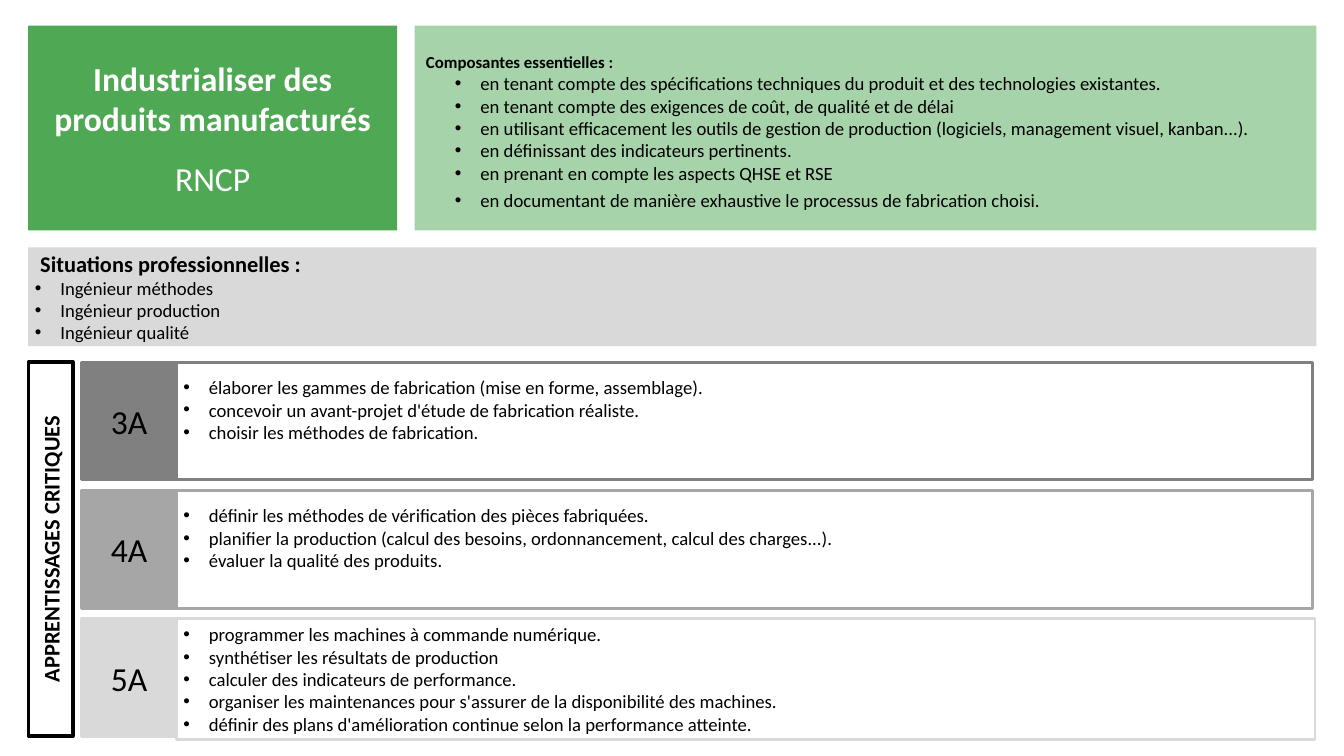
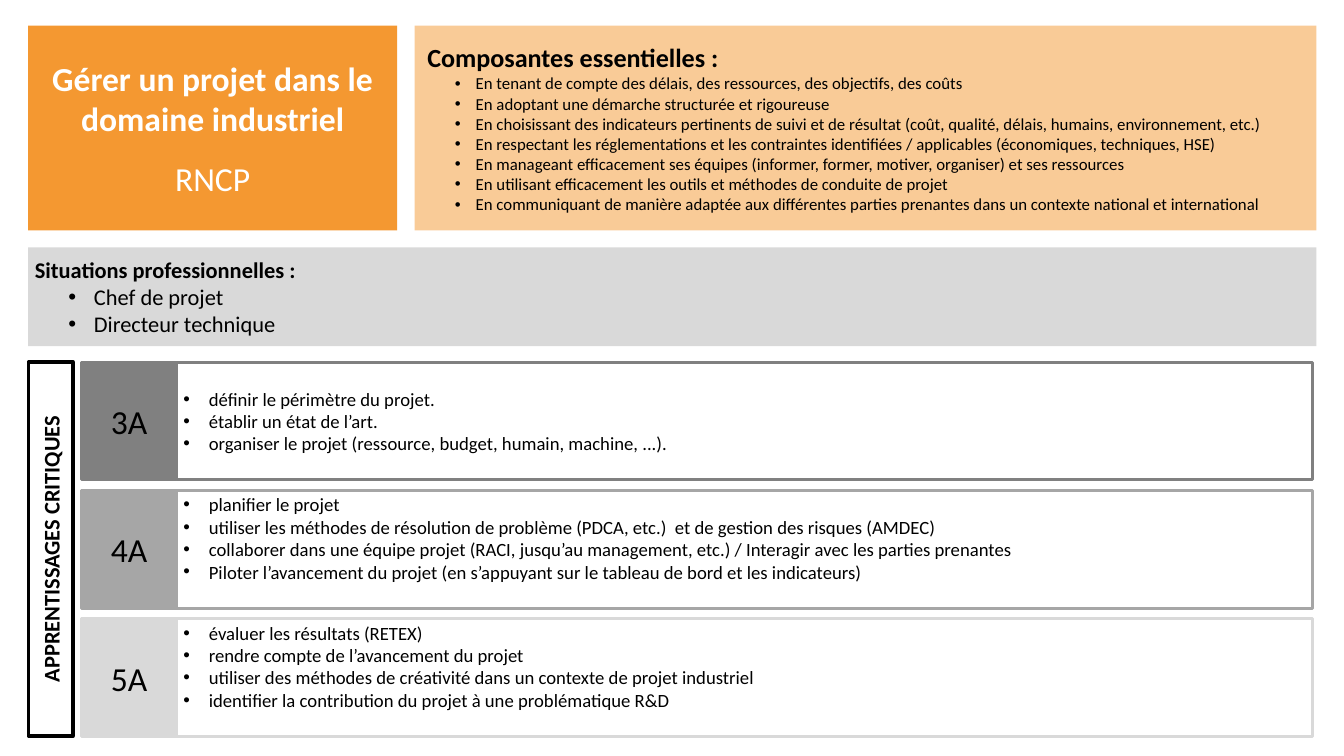
from lxml.etree import SubElement
from pptx import Presentation
from pptx.dml.color import RGBColor
from pptx.enum.shapes import MSO_SHAPE as SHAPE
from pptx.enum.text import MSO_ANCHOR as ANCHOR, PP_ALIGN as ALIGN
from pptx.oxml.ns import qn
from pptx.util import Inches, Pt

BLACK = RGBColor(0x00, 0x00, 0x00)
WHITE = RGBColor(0xFF, 0xFF, 0xFF)
GREEN = RGBColor(0x4F, 0xA9, 0x54)
ORANGE = RGBColor(0xF4, 0x98, 0x31)
DARK_GREY = RGBColor(0x80, 0x80, 0x80)
MID_GREY = RGBColor(0xA6, 0xA6, 0xA6)
LIGHT_GREY = RGBColor(0xD9, 0xD9, 0xD9)

FONT = "Calibri"
LEFT, TOP, HEAD_H = 0.42, 0.38, 3.05
YEAR_X, YEAR_W, ROW_X = 1.21, 1.42, 2.63
ROW_Y, ROW_H, ROW_STEP = 5.39, 1.75, 1.91
YEARS = [("3A", DARK_GREY), ("4A", MID_GREY), ("5A", LIGHT_GREY)]
BLANK_LINE = 0.34


def add_box(s, x, y, w, h, fill, line=None, line_w=3, top=0.05, bottom=0.05):
    sp = s.shapes.add_shape(SHAPE.RECTANGLE, Inches(x), Inches(y), Inches(w), Inches(h))
    sp.shadow.inherit = False
    sp.fill.solid()
    sp.fill.fore_color.rgb = fill
    if line is None:
        sp.line.fill.background()
    else:
        sp.line.color.rgb = line
        sp.line.width = Pt(line_w)
    tf = sp.text_frame
    tf.word_wrap = True
    tf.vertical_anchor = ANCHOR.MIDDLE
    tf.margin_top, tf.margin_bottom = Inches(top), Inches(bottom)
    return sp


def add_text(sp, text, size=20, bold=False, color=BLACK, align=ALIGN.LEFT,
             indent=0, hang=0, level=0, spacing=None, before=None):
    tf = sp.text_frame
    p = tf.paragraphs[0] if not tf.text else tf.add_paragraph()
    p.alignment = align
    p.level = level
    if spacing:
        p.line_spacing = spacing
    if before:
        p.space_before = Pt(before)
    pPr = p._p.get_or_add_pPr()
    pPr.set("marL", str(Inches(indent)))
    pPr.set("indent", str(-Inches(hang)))
    if hang:
        SubElement(pPr, qn("a:buFont"), typeface="Arial")
        SubElement(pPr, qn("a:buChar"), char="•")
    else:
        SubElement(pPr, qn("a:buNone"))
    r = p.add_run()
    r.text = text
    r.font.name = FONT
    r.font.size = Pt(size)
    r.font.bold = bold
    r.font.color.rgb = color


SLIDES = [
    {
        "title": "Industrialiser des produits manufacturés",
        "color": GREEN,
        "heading": {"size": 18, "indent": 0.07},
        "heading_top": 0.15,
        "component": {"size": 20, "indent": 0.88, "hang": 0.38, "level": 1},
        "last_before": 4.8,
        "components": [
            "en tenant compte des spécifications techniques du produit et des technologies existantes.",
            "en tenant compte des exigences de coût, de qualité et de délai",
            "en utilisant efficacement les outils de gestion de production (logiciels, management visuel, kanban...).",
            "en définissant des indicateurs pertinents.",
            "en prenant en compte les aspects QHSE et RSE",
            "en documentant de manière exhaustive le processus de fabrication choisi.",
        ],
        "situation_indent": 0.08,
        "situation": {"size": 20, "indent": 0.38, "hang": 0.38},
        "situations": ["Ingénieur méthodes", "Ingénieur production", "Ingénieur qualité"],
        "rows": [
            (16.9, ROW_H, BLANK_LINE, [
                "élaborer les gammes de fabrication (mise en forme, assemblage).",
                "concevoir un avant-projet d'étude de fabrication réaliste.",
                "choisir les méthodes de fabrication.",
            ]),
            (16.9, ROW_H, BLANK_LINE, [
                "définir les méthodes de vérification des pièces fabriquées.",
                "planifier la production (calcul des besoins, ordonnancement, calcul des charges...).",
                "évaluer la qualité des produits.",
            ]),
            (16.94, 1.79, 0, [
                "programmer les machines à commande numérique.",
                "synthétiser les résultats de production",
                "calculer des indicateurs de performance.",
                "organiser les maintenances pour s'assurer de la disponibilité des machines.",
                "définir des plans d'amélioration continue selon la performance atteinte.",
            ]),
        ],
    },
    {
        "title": "Gérer un projet dans le domaine industriel",
        "color": ORANGE,
        "heading": {"size": 28, "indent": 0.09},
        "heading_top": 0.05,
        "component": {"size": 18, "indent": 0.81, "hang": 0.31, "level": 1},
        "last_before": None,
        "components": [
            "En tenant de compte des délais, des ressources, des objectifs, des coûts",
            "En adoptant une démarche structurée et rigoureuse",
            "En choisissant des indicateurs pertinents de suivi et de résultat (coût, qualité, délais, humains, environnement, etc.)",
            "En respectant les réglementations et les contraintes identifiées / applicables (économiques, techniques, HSE)",
            "En manageant efficacement ses équipes (informer, former, motiver, organiser) et ses ressources",
            "En utilisant efficacement les outils et méthodes de conduite de projet",
            "En communiquant de manière adaptée aux différentes parties prenantes dans un contexte national et international",
        ],
        "situation_indent": 0,
        "situation": {"size": 24, "indent": 0.88, "hang": 0.38},
        "situations": ["Chef de projet", "Directeur technique"],
        "rows": [
            (16.9, ROW_H, 0, [
                "définir le périmètre du projet.",
                "établir un état de l’art.",
                "organiser le projet (ressource, budget, humain, machine, ...).",
            ]),
            (16.9, ROW_H, BLANK_LINE, [
                "planifier le projet",
                "utiliser les méthodes de résolution de problème (PDCA, etc.)  et de gestion des risques (AMDEC)",
                "collaborer dans une équipe projet (RACI, jusqu’au management, etc.) / Interagir avec les parties prenantes",
                "Piloter l’avancement du projet (en s’appuyant sur le tableau de bord et les indicateurs)",
            ]),
            (16.9, ROW_H, BLANK_LINE, [
                "évaluer les résultats (RETEX)",
                "rendre compte de l’avancement du projet",
                "utiliser des méthodes de créativité dans un contexte de projet industriel",
                "identifier la contribution du projet à une problématique R&D",
            ]),
        ],
    },
]

prs = Presentation()
prs.slide_width, prs.slide_height = Inches(20), Inches(11.25)

for data in SLIDES:
    s = prs.slides.add_slide(prs.slide_layouts[6])

    sp = add_box(s, LEFT, 3.68, 19.17, 1.47, LIGHT_GREY)
    add_text(sp, "Situations professionnelles :", size=24, bold=True, indent=data["situation_indent"])
    for text in data["situations"]:
        add_text(sp, text, **data["situation"])

    sp = add_box(s, 6.17, TOP, 13.42, HEAD_H, data["color"], top=data["heading_top"])
    SubElement(sp.fill._xPr.find(qn("a:solidFill"))[0], qn("a:alpha"), val="50000")
    add_text(sp, "Composantes essentielles :", bold=True, **data["heading"])
    *first_components, last_component = data["components"]
    for text in first_components:
        add_text(sp, text, **data["component"])
    add_text(sp, last_component, before=data["last_before"], **data["component"])

    for i, (w, h, spare, skills) in enumerate(data["rows"]):
        year, grey = YEARS[i]
        y = ROW_Y + i * ROW_STEP
        sp = add_box(s, ROW_X, y, w, h, WHITE, line=grey, bottom=0.05 + spare)
        for text in skills:
            add_text(sp, text, indent=0.38, hang=0.38)
        sp = add_box(s, YEAR_X, y, YEAR_W, ROW_H, grey, line=grey)
        add_text(sp, year, size=36, align=ALIGN.CENTER)

    sp = add_box(s, -2.03, 7.84, 5.57, 0.66, WHITE, line=BLACK, line_w=3.75)
    sp.rotation = 270
    add_text(sp, "APPRENTISSAGES CRITIQUES", size=24, bold=True, align=ALIGN.CENTER)

    sp = add_box(s, LEFT, TOP, 5.49, HEAD_H, data["color"])
    add_text(sp, data["title"], size=36, bold=True, color=WHITE, align=ALIGN.CENTER)
    add_text(sp, "RNCP", size=36, color=WHITE, align=ALIGN.CENTER, spacing=1.5)

prs.save("out.pptx")
